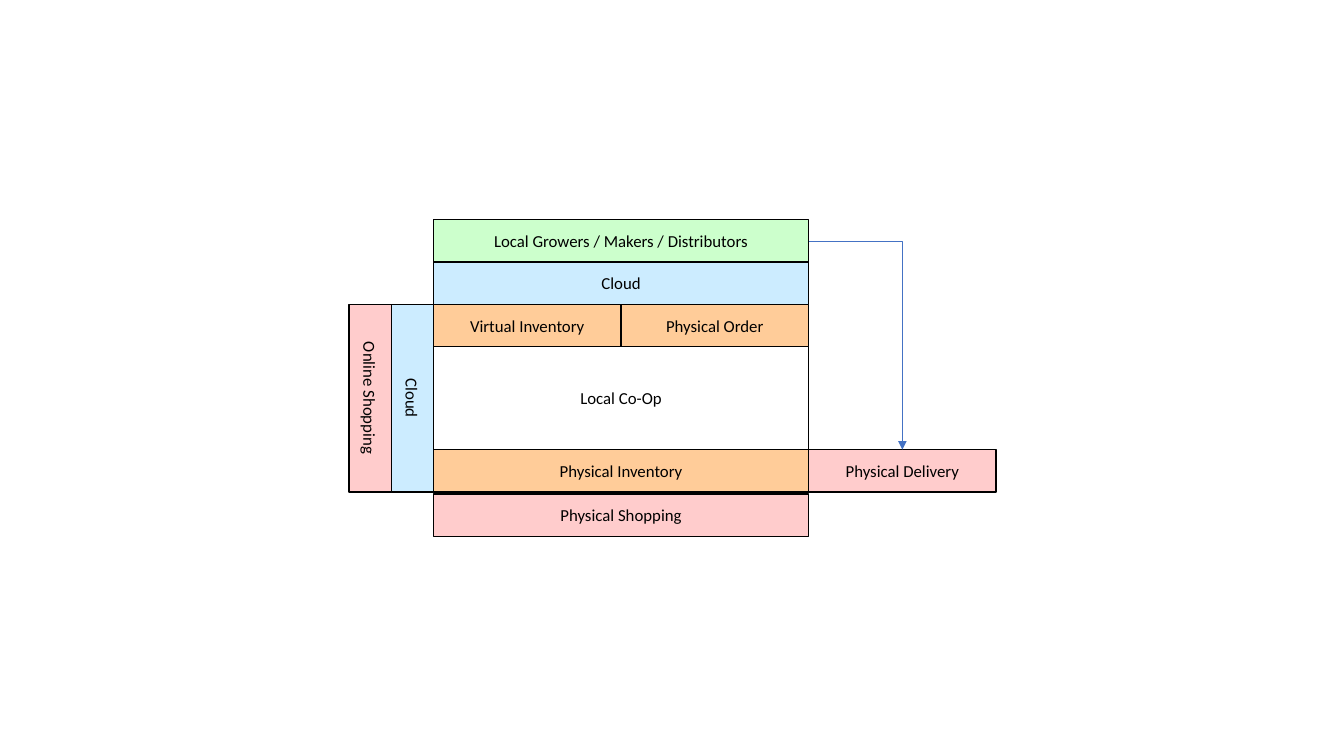
from lxml import etree
from pptx import Presentation
from pptx.dml.color import RGBColor
from pptx.enum import shapes, text
from pptx.oxml.ns import qn
from pptx.util import Inches, Pt

BLACK = RGBColor(0x00, 0x00, 0x00)
WHITE = RGBColor(0xFF, 0xFF, 0xFF)
ORANGE = RGBColor(0xFF, 0xCC, 0x99)
PINK = RGBColor(0xFF, 0xCC, 0xCC)
SKY = RGBColor(0xCC, 0xEC, 0xFF)
GREEN = RGBColor(0xCC, 0xFF, 0xCC)
ARROW_BLUE = RGBColor(0x44, 0x72, 0xC4)

# Layout: a central stack of bars, with side bars around it
LEFT, TOP = 4.3, 2.18
HALF, BAR = 1.86, 0.42
FULL = 2 * HALF
ORDER_TOP = TOP + 2 * BAR
COOP_TOP = ORDER_TOP + BAR
INVENTORY_TOP = 4.46
SIDE_TOP = ORDER_TOP + (HALF - BAR) / 2  # top before the quarter turn

prs = Presentation()
prs.slide_width, prs.slide_height = Inches(13.33), Inches(7.5)
slide = prs.slides.add_slide(prs.slide_layouts[6])


def side_left(column):
    """Left edge, before the quarter turn, of a bar this many columns left of the stack."""
    return LEFT - (column - 0.5) * BAR - HALF / 2


# Boxes: label, left, top, width, height, fill, rotation
boxes = [
    ("Local Co-Op", LEFT, COOP_TOP, FULL, INVENTORY_TOP - COOP_TOP, WHITE, 0),
    ("Physical Inventory", LEFT, INVENTORY_TOP, FULL, BAR, ORANGE, 0),
    ("Virtual Inventory", LEFT, ORDER_TOP, HALF, BAR, ORANGE, 0),
    ("Physical Shopping", LEFT, 4.9, FULL, BAR, PINK, 0),
    ("Online Shopping", side_left(2), SIDE_TOP, HALF, BAR, PINK, 90),
    ("Cloud", side_left(1), SIDE_TOP, HALF, BAR, SKY, 90),
    ("Cloud", LEFT, TOP + BAR, FULL, BAR, SKY, 0),
    ("Local Growers / Makers / Distributors", LEFT, TOP, FULL, BAR, GREEN, 0),
    ("Physical Order", LEFT + HALF, ORDER_TOP, HALF, BAR, ORANGE, 0),
    ("Physical Delivery", LEFT + FULL, INVENTORY_TOP, HALF, BAR, PINK, 0),
]
placed = {}
for label, left, top, width, height, fill, rotation in boxes:
    box = slide.shapes.add_shape(
        shapes.MSO_SHAPE.RECTANGLE,
        Inches(left), Inches(top), Inches(width), Inches(height))
    box.rotation = rotation
    box.shadow.inherit = False
    box.fill.solid()
    box.fill.fore_color.rgb = fill
    box.line.color.rgb = BLACK
    box.line.width = Pt(1)
    box.text_frame.text = label
    box.text_frame.vertical_anchor = text.MSO_ANCHOR.MIDDLE
    caption = box.text_frame.paragraphs[0]
    caption.alignment = text.PP_ALIGN.CENTER
    caption.font.name = "Calibri"
    caption.font.size = Pt(12)
    caption.font.color.rgb = BLACK
    placed[label] = box

# Direct delivery arrow: from the right of the growers to the top of delivery
delivery = slide.shapes.add_connector(
    shapes.MSO_CONNECTOR.ELBOW,
    Inches(LEFT + FULL), Inches(TOP + BAR / 2),
    Inches(LEFT + FULL + HALF / 2), Inches(INVENTORY_TOP))
delivery.begin_connect(placed["Local Growers / Makers / Distributors"], 3)
delivery.end_connect(placed["Physical Delivery"], 0)
delivery.line.color.rgb = ARROW_BLUE
delivery.line.width = Pt(0.5)
properties = delivery._element.spPr
properties.find(qn("a:prstGeom")).set("prst", "bentConnector2")
etree.SubElement(properties.find(qn("a:ln")), qn("a:tailEnd"), type="triangle")
etree.SubElement(properties, qn("a:effectLst"))

prs.save("out.pptx")
